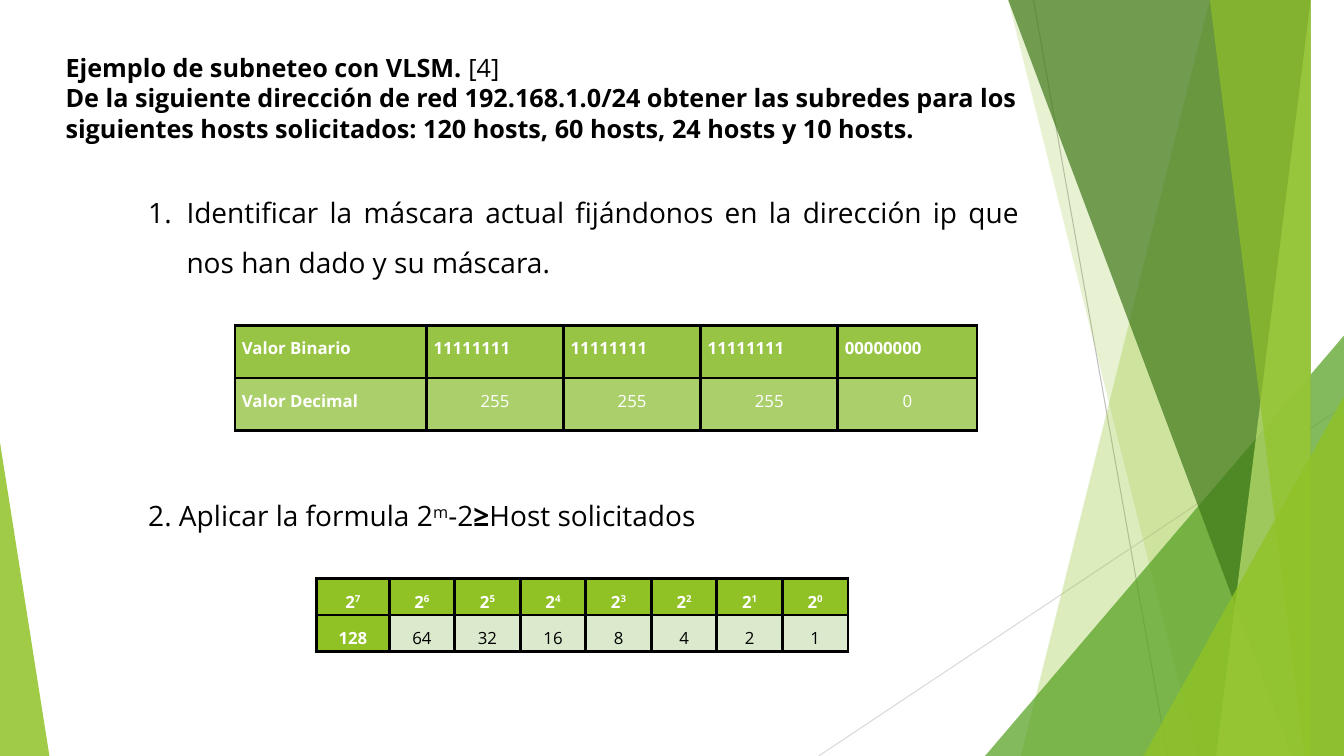
"""Build the slide with the VLSM subnetting example."""
from lxml.etree import SubElement
from pptx import Presentation
from pptx.dml.color import RGBColor
from pptx.enum.shapes import MSO_CONNECTOR, MSO_SHAPE
from pptx.enum.text import MSO_ANCHOR, MSO_AUTO_SIZE, PP_ALIGN as Align
from pptx.oxml.ns import qn
from pptx.util import Inches, Pt

WIDTH, HEIGHT = 13.33, 7.5
FONT = "Open Sans"
COLORS = {
    "lime": "90C226", "green": "54A021", "forest": "3F7819", "pale": "C0E474",
    "binary": "97C445", "decimal": "ABD06B", "mint": "DBE9CD",
    "gray": "BFBFBF", "silver": "D9D9D9", "black": "000000", "white": "FFFFFF",
}

HEADING = [
    [("Ejemplo de subneteo con VLSM. ", {"bold": True}), ("[4]", {"bold": False})],
    [("De la siguiente dirección de red 192.168.1.0/24 obtener las subredes para los "
      "siguientes hosts solicitados: 120 hosts, 60 hosts, 24 hosts y 10 hosts.", {"bold": True})],
]
MASK_STEP = [[("Identificar la máscara actual fijándonos en la dirección ip que "
               "nos han dado y su máscara.", {})]]
FORMULA_STEP = [[("2. Aplicar la formula 2", {}), ("m", {"raised": True}), ("-2", {}),
                 ("≥", {"bold": True}), ("Host solicitados", {})]]
MASK_ROWS = [
    ["Valor Binario"] + ["11111111"] * 3 + ["00000000"],
    ["Valor Decimal"] + ["255"] * 3 + ["0"],
]
EXPONENTS = range(7, -1, -1)

GUIDES = [((10.25, 0), (11.58, HEIGHT), "gray"), ((WIDTH, 4.03), (8.12, HEIGHT), "silver")]
BANDS_BEHIND = [(12.28, 10.04, "lime", 30), (10.5, 11.83, "lime", 20)]
BANDS_FRONT = [(10.21, 12.91, "forest", 70), (13.03, 11.92, "pale", 70), (11.96, 13.18, "lime", 65)]
MIDDLE_TRIANGLE = (9.77, 3.56, 4.17, 1, "green", 72)
CORNER_TRIANGLES = [(11.34, 1.99, 3.57, 1, "lime", 80), (0, 0.49, 3.11, 0, "lime", 85)]


def color(name):
    return RGBColor.from_string(COLORS[name])


def paint(shape, name, opacity):
    shape.shadow.inherit = False
    shape.line.fill.background()
    shape.fill.solid()
    shape.fill.fore_color.rgb = color(name)
    tint = shape._element.spPr.find(".//" + qn("a:srgbClr"))
    SubElement(tint, qn("a:alpha")).set("val", str(opacity * 1000))


def add_guide(start, end, name):
    points = [Inches(value) for value in start + end]
    guide = slide.shapes.add_connector(MSO_CONNECTOR.STRAIGHT, *points)
    guide.line.color.rgb = color(name)
    guide.line.width = Pt(0.75)
    SubElement(guide._element.spPr, qn("a:effectLst"))


def add_band(top_x, bottom_x, name, opacity):
    builder = slide.shapes.build_freeform(top_x, 0, scale=Inches(1))
    builder.add_line_segments([(WIDTH, 0), (WIDTH, HEIGHT), (bottom_x, HEIGHT)])
    paint(builder.convert_to_shape(), name, opacity)


def add_triangle(left, width, height, apex, name, opacity):
    box = [Inches(value) for value in (left, HEIGHT - height, width, height)]
    triangle = slide.shapes.add_shape(MSO_SHAPE.ISOSCELES_TRIANGLE, *box)
    triangle.adjustments[0] = apex
    paint(triangle, name, opacity)


def write(paragraph, runs, size, text_color="black", **layout):
    for name, value in layout.items():
        setattr(paragraph, name, value)
    for text, style in runs:
        run = paragraph.add_run()
        run.text = text
        values = {"name": FONT, "size": Pt(size), "bold": style.get("bold", False)}
        for name, value in values.items():
            setattr(run.font, name, value)
        run.font.color.rgb = color(text_color)
        if style.get("raised"):
            run._r.get_or_add_rPr().set("baseline", "30000")


def fill_placeholder(shape, box, paragraphs, size, **layout):
    for name, value in zip(("left", "top", "width", "height"), box):
        setattr(shape, name, Inches(value))
    frame = shape.text_frame
    settings = {"word_wrap": True, "auto_size": MSO_AUTO_SIZE.NONE, "vertical_anchor": MSO_ANCHOR.TOP}
    for name, value in settings.items():
        setattr(frame, name, value)
    for index, runs in enumerate(paragraphs):
        paragraph = frame.add_paragraph() if index else frame.paragraphs[0]
        write(paragraph, runs, size, space_before=Pt(0), **layout)
    slide.shapes._spTree.append(shape._element)


def set_list(shape, indent, bullet, **attributes):
    properties = shape.text_frame.paragraphs[0]._p.get_or_add_pPr()
    properties.set("marL", str(Inches(indent)))
    properties.set("indent", str(-Inches(indent)))
    mark = SubElement(properties, qn(bullet))
    for name, value in attributes.items():
        mark.set(name, value)


def add_borders(cell):
    properties = cell._tc.get_or_add_tcPr()
    for side in ("a:lnL", "a:lnR", "a:lnT", "a:lnB"):
        border = SubElement(properties, qn(side), w=str(Pt(2.25)))
        solid = SubElement(border, qn("a:solidFill"))
        SubElement(solid, qn("a:srgbClr"), val=COLORS["black"])


def add_table(left, top, widths, row_height, rows):
    box = [Inches(value) for value in (left, top, sum(widths), row_height * len(rows))]
    table = slide.shapes.add_table(len(rows), len(widths), *box).table
    for column, width in zip(table.columns, widths):
        column.width = Inches(width)
    for row_index, row in enumerate(rows):
        table.rows[row_index].height = Inches(row_height)
        for column_index, (runs, fill, text_color, align) in enumerate(row):
            cell = table.cell(row_index, column_index)
            margins = {"margin_left": 0.07, "margin_right": 0.07, "margin_top": 0, "margin_bottom": 0}
            for name, value in margins.items():
                setattr(cell, name, Inches(value))
            add_borders(cell)
            cell.fill.solid()
            cell.fill.fore_color.rgb = color(fill)
            write(cell.text_frame.paragraphs[0], runs, 12, text_color, alignment=align, line_spacing=1.5)


def mask_cell(text, row, column):
    is_label = row == 0 or column == 0
    return ([(text, {"bold": is_label})], ("binary", "decimal")[row], "white",
            Align.LEFT if is_label else Align.CENTER)


def power_cell(exponent):
    runs = [("2", {"bold": True}), (str(exponent), {"bold": True, "raised": True})]
    return runs, "lime", "white", Align.CENTER


def value_cell(exponent):
    chosen = exponent == EXPONENTS[0]
    fill, text_color = ("lime", "white") if chosen else ("mint", "black")
    return [(str(2 ** exponent), {"bold": chosen})], fill, text_color, Align.CENTER


presentation = Presentation()
presentation.slide_width, presentation.slide_height = Inches(WIDTH), Inches(HEIGHT)
slide = presentation.slides.add_slide(presentation.slide_layouts.get_by_name("Two Content"))
heading, mask_step, formula_step = list(slide.placeholders)[:3]

for guide_data in GUIDES:
    add_guide(*guide_data)
for band in BANDS_BEHIND:
    add_band(*band)
add_triangle(*MIDDLE_TRIANGLE)
for band in BANDS_FRONT:
    add_band(*band)
for triangle_data in CORNER_TRIANGLES:
    add_triangle(*triangle_data)

step_layout = {"alignment": Align.JUSTIFY, "line_spacing": 1.5, "space_after": Pt(8)}
fill_placeholder(heading, (0.55, 0.47, 10.48, 1.31), HEADING, 18, alignment=Align.LEFT)
fill_placeholder(mask_step, (1.37, 1.72, 8.84, 1.05), MASK_STEP, 20, **step_layout)
fill_placeholder(formula_step, (1.37, 4.73, 8.84, 0.54), FORMULA_STEP, 20, **step_layout)
set_list(mask_step, 0.38, "a:buAutoNum", type="arabicPeriod")
set_list(formula_step, 0, "a:buNone")

add_table(2.33, 3.23, [1.9] + [1.36] * 3 + [1.38], 0.52,
          [[mask_cell(text, row, column) for column, text in enumerate(texts)]
           for row, texts in enumerate(MASK_ROWS)])
add_table(3.14, 5.74, [0.72] + [0.65] * 7, 0.36,
          [[make_cell(exponent) for exponent in EXPONENTS] for make_cell in (power_cell, value_cell)])

presentation.save("out.pptx")
